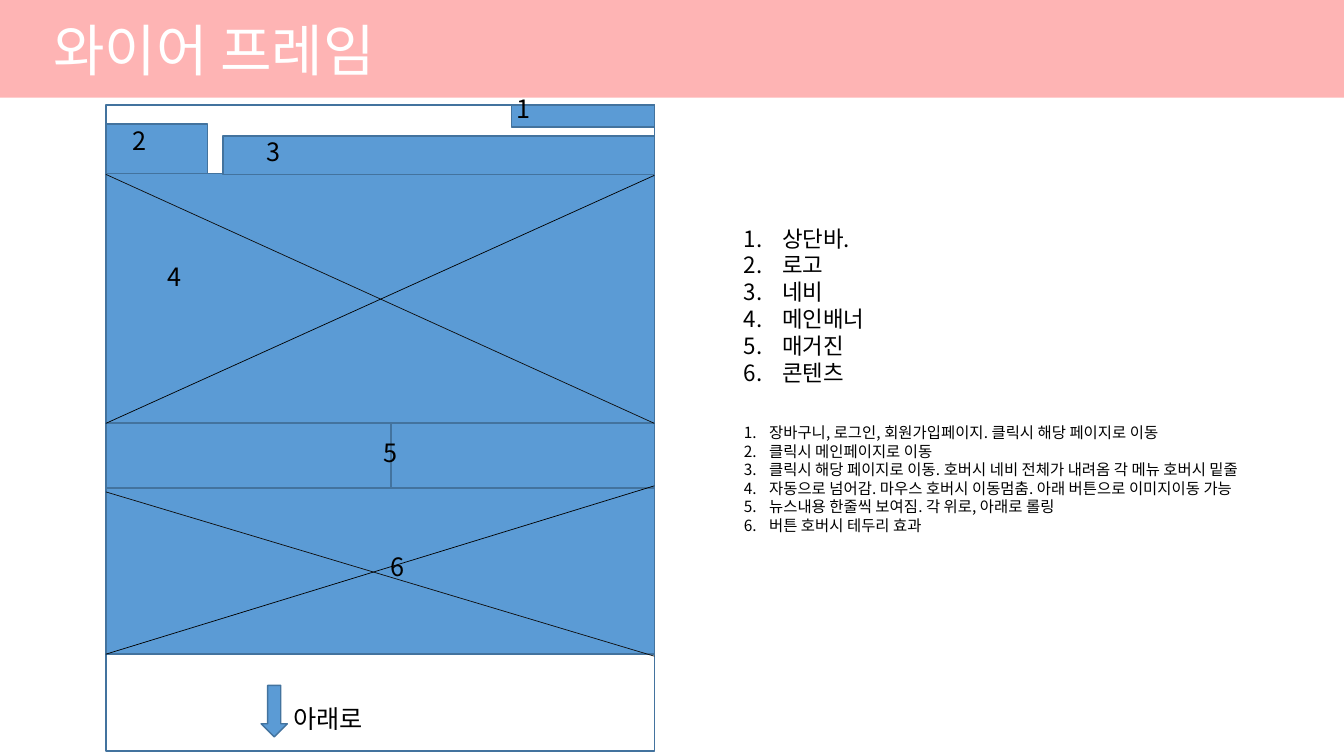
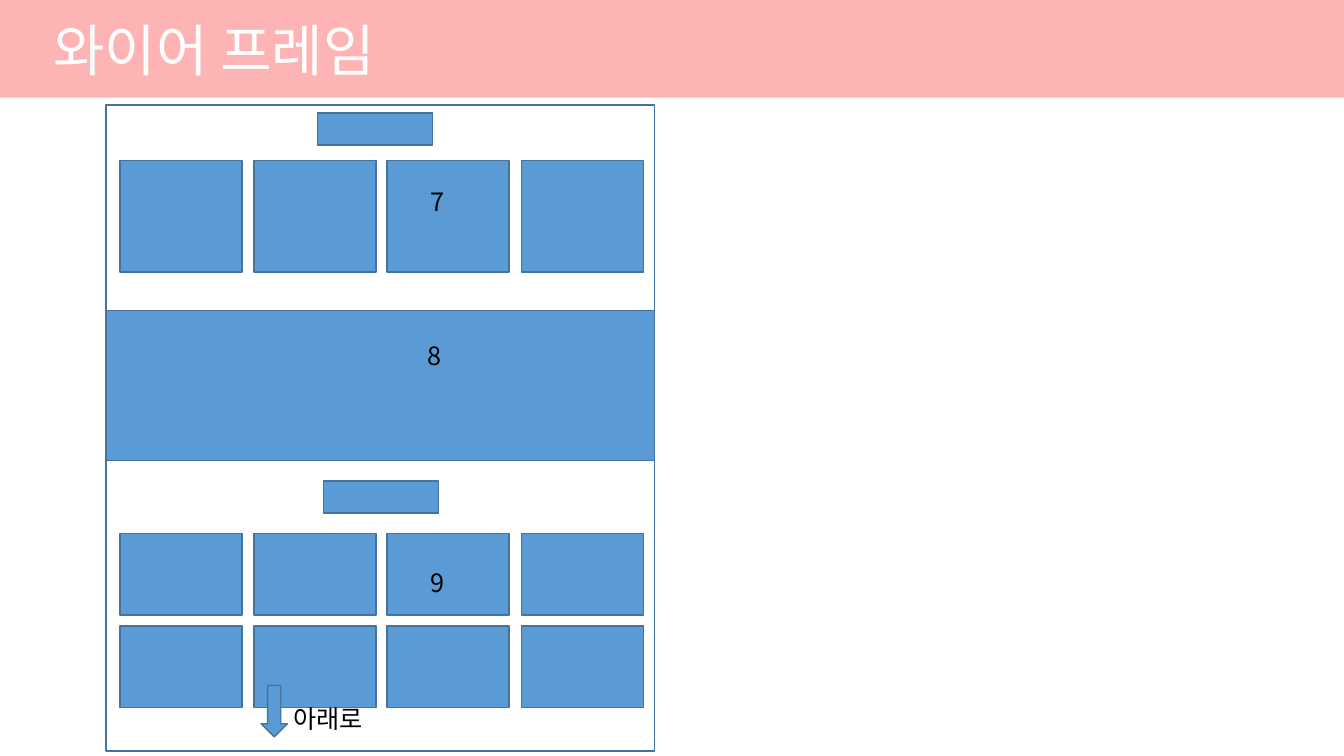
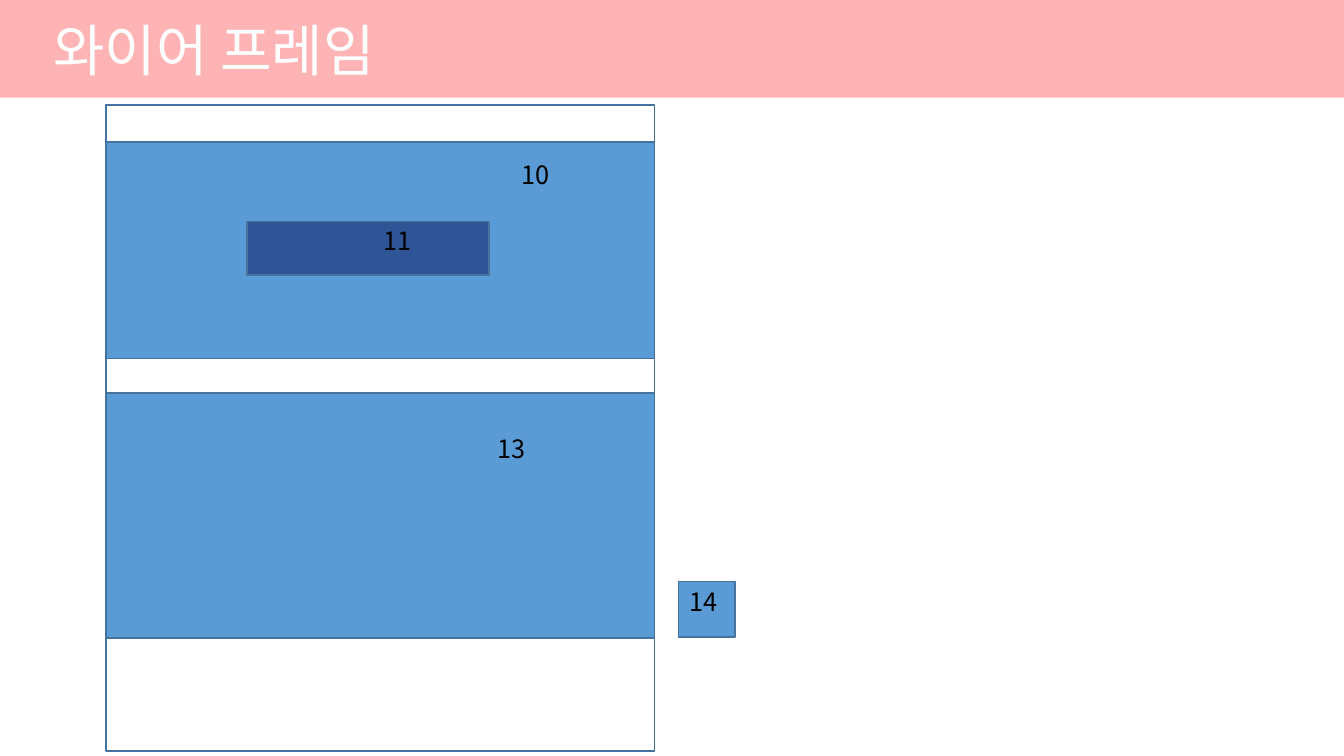
from dataclasses import dataclass

from lxml import etree
from pptx import Presentation
from pptx.dml.color import RGBColor
from pptx.enum.shapes import MSO_CONNECTOR, MSO_SHAPE
from pptx.enum.text import MSO_ANCHOR, MSO_AUTO_SIZE, PP_ALIGN
from pptx.oxml.ns import qn
from pptx.shapes.base import BaseShape
from pptx.slide import Slide
from pptx.text.text import _Paragraph
from pptx.util import Pt

RECT, DOWN_ARROW = MSO_SHAPE.RECTANGLE, MSO_SHAPE.DOWN_ARROW
STRAIGHT = MSO_CONNECTOR.STRAIGHT
LEFT, MIDDLE = PP_ALIGN.LEFT, MSO_ANCHOR.MIDDLE
FIT_SHAPE = MSO_AUTO_SIZE.SHAPE_TO_FIT_TEXT

PX = 9144  # 100 px to the inch
SLIDE_W, SLIDE_H = 1333, 750
FRAME_X, FRAME_Y, FRAME_W, FRAME_H = 105, 104, 544, 641
FRAME_RIGHT = FRAME_X + FRAME_W
FONT = "Noto Sans CJK KR"
COLORS = {
    "band": "FEB4B4",
    "block": "5B9BD5",
    "button": "2F5597",
    "outline": "43739E",
    "title": "FFFFFF",
    "text": "000000",
    "falling": "0D0D0D",
    "rising": "000000",
}
BAND_FORMAT = {"vertical_anchor": MIDDLE, "margin_left": 53 * PX}
BOX_FORMAT = {"word_wrap": False, "auto_size": FIT_SHAPE}


@dataclass
class Block:
    x: int
    y: int
    w: int
    h: int
    fill: str | None = "block"
    outline: str | None = "outline"
    preset: MSO_SHAPE = RECT


@dataclass
class Label:
    text: str
    x: int
    y: int
    w: int = 34


@dataclass
class Diagonal:
    x1: int
    y1: int
    x2: int
    y2: int
    color: str


@dataclass
class NumberedList:
    x: int
    y: int
    w: int
    h: int
    size: int
    indent: int
    items: list[str]


Part = Block | Label | Diagonal | NumberedList


def rgb(name: str) -> RGBColor:
    return RGBColor.from_string(COLORS[name])


def set_format(target: object, values: dict) -> None:
    for name, value in values.items():
        setattr(target, name, value)


def add_run(p: _Paragraph, text: str, size: int, color: str) -> None:
    r = p.add_run()
    r.text = text
    set_format(r.font, {"size": Pt(size), "name": FONT})
    r.font.color.rgb = rgb(color)
    etree.SubElement(r.font._element, qn("a:ea"), typeface=FONT)


def draw_block(s: Slide, b: Block) -> BaseShape:
    sp = s.shapes.add_shape(b.preset, *(v * PX for v in (b.x, b.y, b.w, b.h)))
    sp.shadow.inherit = False
    if b.fill:
        sp.fill.solid()
        sp.fill.fore_color.rgb = rgb(b.fill)
    else:
        sp.fill.background()
    if b.outline:
        sp.line.color.rgb = rgb(b.outline)
        sp.line.width = Pt(1)
    else:
        sp.line.fill.background()
    return sp


def draw_label(s: Slide, label: Label) -> None:
    box = (label.x, label.y, label.w, 40)
    tf = s.shapes.add_textbox(*(v * PX for v in box)).text_frame
    set_format(tf, BOX_FORMAT)
    add_run(tf.paragraphs[0], label.text, 18, "text")


def draw_diagonal(s: Slide, d: Diagonal) -> None:
    ends = (d.x1, d.y1, d.x2, d.y2)
    line = s.shapes.add_connector(STRAIGHT, *(v * PX for v in ends))
    line.line.color.rgb = rgb(d.color)
    line.line.width = Pt(0.5)
    etree.SubElement(line._element.spPr, qn("a:effectLst"))


def draw_list(s: Slide, lst: NumberedList) -> None:
    box = (lst.x, lst.y, lst.w, lst.h)
    tf = s.shapes.add_textbox(*(v * PX for v in box)).text_frame
    set_format(tf, BOX_FORMAT)
    for i, item in enumerate(lst.items):
        p = tf.add_paragraph() if i else tf.paragraphs[0]
        pPr = p._p.get_or_add_pPr()
        pPr.set("marL", str(lst.indent * PX))
        pPr.set("indent", str(-lst.indent * PX))
        etree.SubElement(pPr, qn("a:buAutoNum"), type="arabicPeriod")
        add_run(p, item, lst.size, "text")


def draw_title(s: Slide, title: str) -> None:
    sp = draw_block(s, Block(0, 0, SLIDE_W, 97, "band", None))
    set_format(sp.text_frame, BAND_FORMAT)
    p = sp.text_frame.paragraphs[0]
    p.alignment = LEFT
    add_run(p, title, 40, "title")


def full_width(y: int, h: int) -> Block:
    return Block(FRAME_X, y, FRAME_W, h)


def card_row(y: int, h: int) -> list[Block]:
    """Four equal cards spread across the page frame."""
    first, last = 119, 517
    return [Block(round(first + i * (last - first) / 3), y, 121, h)
            for i in range(4)]


def cross(falling: tuple[int, int], rising: tuple[int, int]) -> list[Diagonal]:
    """Two diagonals; each pair holds the upper and the lower y."""
    return [
        Diagonal(FRAME_X, falling[0], FRAME_RIGHT, falling[1], "falling"),
        Diagonal(FRAME_RIGHT, rising[0], FRAME_X, rising[1], "rising"),
    ]


SCROLL_DOWN: list[Part] = [
    Block(259, 680, 26, 51, preset=DOWN_ARROW),
    Label("아래로", 281, 693, 96),
]

HEADER_PAGE: list[Part] = [
    full_width(172, 247),
    Block(507, 104, 142, 22),
    Block(221, 135, 428, 38),
    Block(FRAME_X, 123, 101, 49),
    Block(FRAME_X, 420, 283, 64),
    Block(388, 420, 261, 64),
    full_width(484, 165),
    *SCROLL_DOWN,
    Label("1", 502, 88),
    Label("2", 122, 119),
    Label("3", 255, 130),
    Label("4", 156, 254),
    Label("5", 371, 429),
    Label("6", 378, 542),
    *cross((173, 420), (174, 420)),
    *cross((488, 651), (482, 649)),
    NumberedList(728, 218, 148, 172, 16, 38, [
        "상단바.", "로고", "네비", "메인배너", "매거진", "콘텐츠",
    ]),
    NumberedList(728, 415, 571, 121, 11, 25, [
        "장바구니, 로그인, 회원가입페이지. 클릭시 해당 페이지로 이동",
        "클릭시 메인페이지로 이동",
        "클릭시 해당 페이지로 이동. 호버시 네비 전체가 내려옴 각 메뉴 호버시 밑줄",
        "자동으로 넘어감. 마우스 호버시 이동멈춤. 아래 버튼으로 이미지이동 가능",
        "뉴스내용 한줄씩 보여짐. 각 위로, 아래로 롤링",
        "버튼 호버시 테두리 효과",
    ]),
]

CARDS_PAGE: list[Part] = [
    Block(315, 112, 114, 32),
    *card_row(159, 111),
    full_width(308, 149),
    Block(321, 477, 114, 32),
    *card_row(529, 81),
    *card_row(621, 81),
    *SCROLL_DOWN,
    Label("7", 417, 180),
    Label("8", 414, 333),
    Label("9", 417, 558),
]

BOTTOM_PAGE: list[Part] = [
    full_width(141, 215),
    Block(245, 220, 240, 53, "button"),
    full_width(390, 243),
    Block(673, 577, 56, 55),
    Label("10", 507, 153, 48),
    Label("11", 371, 219, 48),
    Label("13", 484, 425, 48),
    Label("14", 674, 577, 48),
]

DRAW = {
    Block: draw_block,
    Label: draw_label,
    Diagonal: draw_diagonal,
    NumberedList: draw_list,
}


def main() -> None:
    prs = Presentation()
    set_format(prs, {"slide_width": SLIDE_W * PX, "slide_height": SLIDE_H * PX})
    blank = prs.slide_layouts[6]
    for page in (HEADER_PAGE, CARDS_PAGE, BOTTOM_PAGE):
        s = prs.slides.add_slide(blank)
        draw_title(s, "와이어 프레임")
        draw_block(s, Block(FRAME_X, FRAME_Y, FRAME_W, FRAME_H, None))
        for part in page:
            DRAW[type(part)](s, part)
    prs.save("out.pptx")


if __name__ == "__main__":
    main()
